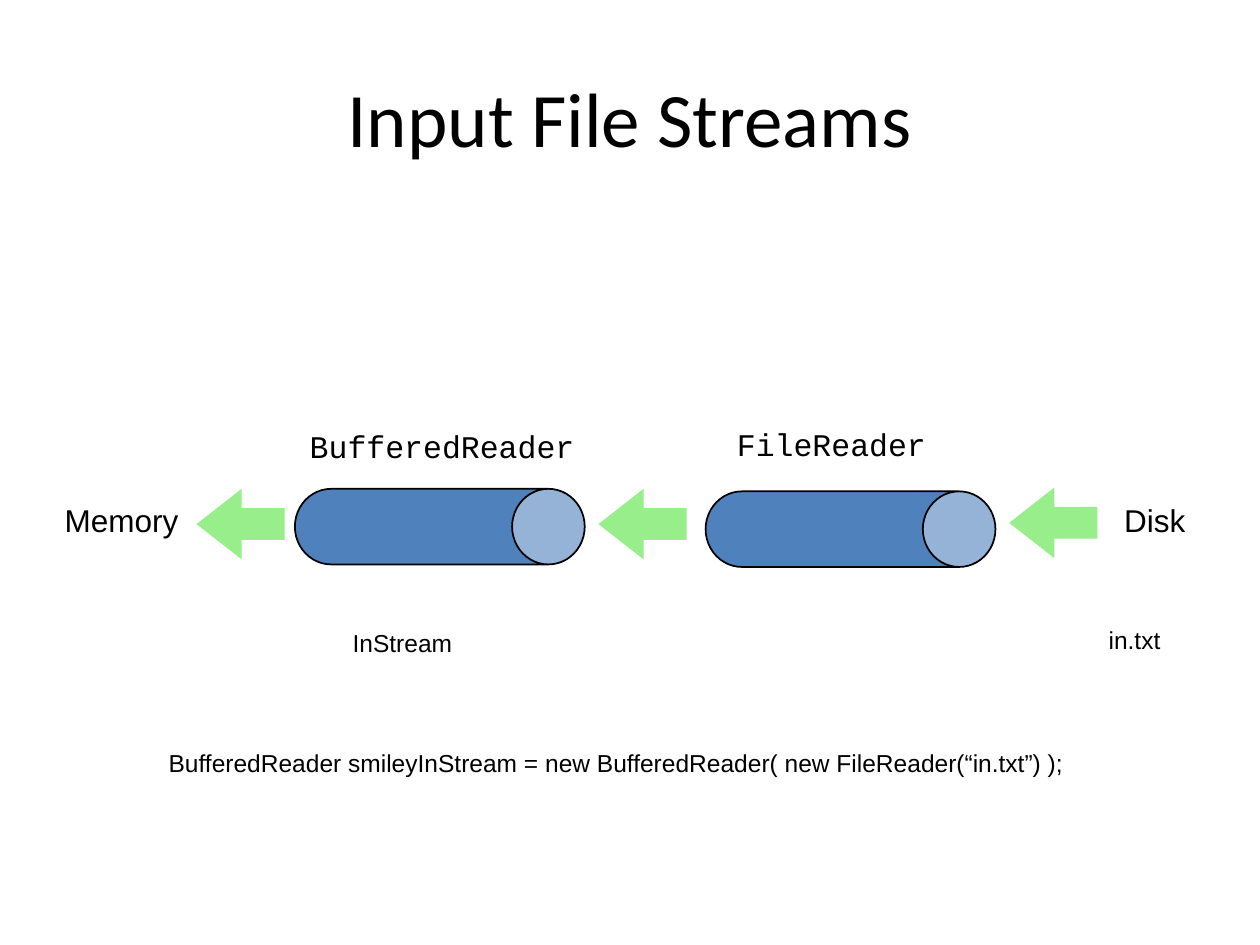
from typing import NamedTuple

from pptx import Presentation
from pptx.dml.color import RGBColor
from pptx.enum import shapes, text
from pptx.util import Inches, Pt

BLACK, PIPE_BLUE, FLOW_GREEN = "000000", "4F81BD", "98EE8A"
PIPE_WIDTH, PIPE_LENGTH = 0.6, 2.3
ARROW_WIDTH, ARROW_HEIGHT = 0.7, 0.56


class Box(NamedTuple):
    left: float
    top: float
    width: float
    height: float


class Label(NamedTuple):
    wording: str
    box: Box
    size: int = 14
    font: str = "Arial"
    centred: bool = False
    wrap: bool = False


PIPES = [Box(3.19, 3.03, PIPE_WIDTH, PIPE_LENGTH),
         Box(6.45, 3.05, PIPE_WIDTH, PIPE_LENGTH)]
FLOWS = [Box(left, top, ARROW_WIDTH, ARROW_HEIGHT)
         for left, top in ((1.56, 3.88), (4.75, 3.88), (8.01, 3.87))]
LABELS = [
    Label("BufferedReader", Box(2.36, 3.4, 2.48, 0.34), 18, "Courier New", wrap=True),
    Label("FileReader", Box(5.75, 3.38, 2.86, 0.34), 18, "Courier New", wrap=True),
    Label("Disk", Box(8.63, 3.94, 1.07, 0.43), 18, centred=True),
    Label("Memory", Box(0.43, 3.94, 1.07, 0.43), 18, centred=True),
    Label("InStream", Box(2.7, 4.98, 0.99, 0.29)),
    Label("in.txt", Box(8.7, 4.96, 0.61, 0.29)),
    Label("BufferedReader smileyInStream = new BufferedReader( new FileReader(“in.txt”) );",
          Box(1.24, 5.93, 7.33, 0.29)),
]


def rgb(colour: str) -> RGBColor:
    return RGBColor.from_string(colour)


def inches(box: Box) -> list:
    return [Inches(length) for length in box]


def write(frame, wording: str, *, size: int, font: str, centred: bool = False,
          line_spacing: float | None = None) -> None:
    paragraph = frame.paragraphs[0]
    paragraph.alignment = text.PP_ALIGN.CENTER if centred else text.PP_ALIGN.LEFT
    if line_spacing:
        paragraph.line_spacing = line_spacing
    run = paragraph.add_run()
    run.text = wording
    run.font.size = Pt(size)
    run.font.name = font
    run.font.color.rgb = rgb(BLACK)


def add_solid(slide, kind, box: Box, fill: str, adjustments: tuple,
              outlined: bool = False, rotation: float = 0) -> None:
    shape = slide.shapes.add_shape(kind, *inches(box))
    shape.shadow.inherit = False
    shape.rotation = rotation
    for index, value in enumerate(adjustments):
        shape.adjustments[index] = value
    shape.fill.solid()
    shape.fill.fore_color.rgb = rgb(fill)
    if outlined:
        shape.line.color.rgb = rgb(BLACK)
        shape.line.width = Pt(1)
    else:
        shape.line.fill.background()


def add_label(slide, label: Label) -> None:
    """Add a label; centred ones keep a fixed box and use its full width."""
    frame = slide.shapes.add_textbox(*inches(label.box)).text_frame
    frame.word_wrap = label.wrap
    if label.centred:
        frame.vertical_anchor = text.MSO_ANCHOR.MIDDLE
        frame.margin_left = frame.margin_right = Inches(0)
    else:
        frame.auto_size = text.MSO_AUTO_SIZE.SHAPE_TO_FIT_TEXT
    write(frame, label.wording, size=label.size, font=label.font,
          centred=label.centred, line_spacing=0.8)


def main() -> None:
    deck = Presentation()
    deck.slide_width, deck.slide_height = Inches(10), Inches(7.5)
    slide = deck.slides.add_slide(deck.slide_layouts[5])

    title = slide.shapes.title
    title.left, title.top, title.width, title.height = inches(Box(0.5, 0.3, 9, 1.25))
    title.text_frame.vertical_anchor = text.MSO_ANCHOR.MIDDLE
    write(title.text_frame, "Input File Streams", size=44, font="Calibri", centred=True)

    for pipe in PIPES:
        add_solid(slide, shapes.MSO_SHAPE.CAN, pipe, PIPE_BLUE, (0.96,),
                  outlined=True, rotation=90)
    for flow in FLOWS:
        add_solid(slide, shapes.MSO_SHAPE.LEFT_ARROW, flow, FLOW_GREEN, (0.45, 0.64))
    for label in LABELS:
        add_label(slide, label)

    deck.save("out.pptx")


if __name__ == "__main__":
    main()
